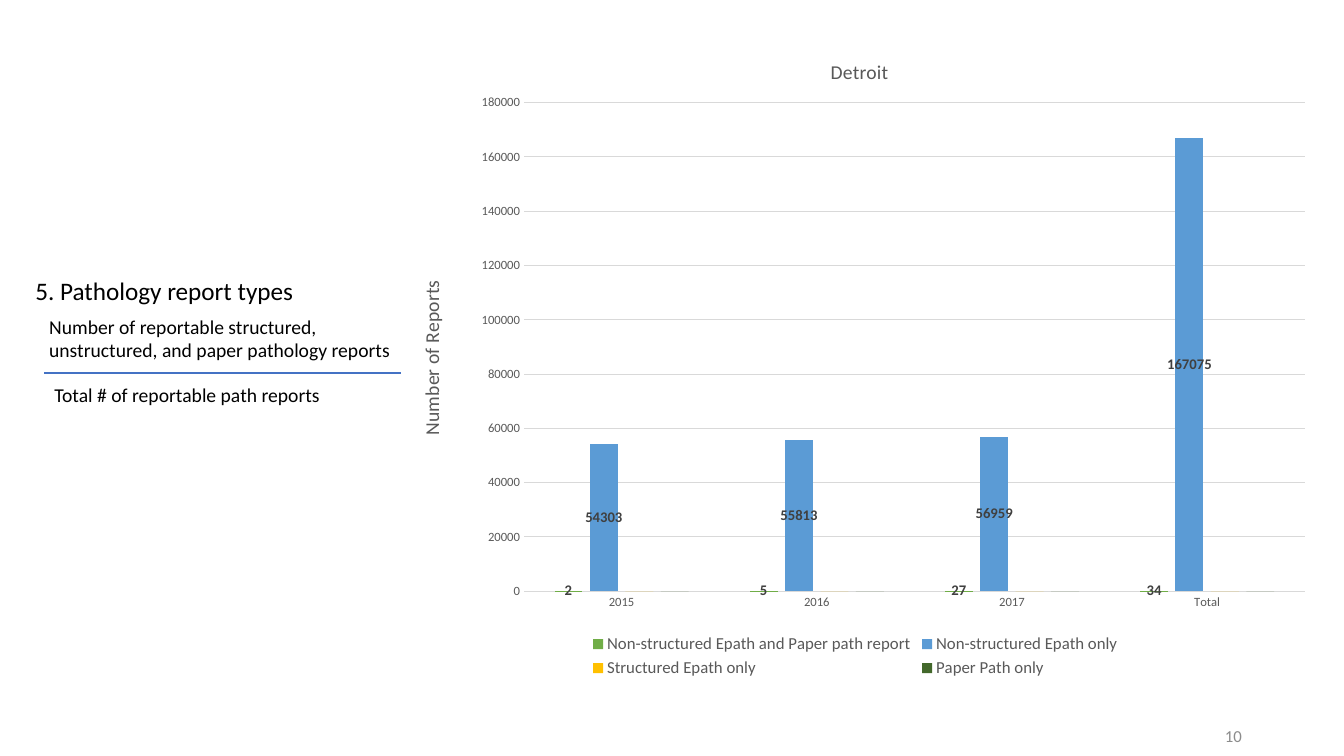
from lxml.etree import SubElement
from pptx import Presentation
from pptx.chart.data import CategoryChartData
from pptx.dml.color import RGBColor
from pptx.enum.chart import XL_CHART_TYPE, XL_LABEL_POSITION, XL_LEGEND_POSITION, XL_TICK_MARK
from pptx.enum.shapes import MSO_CONNECTOR
from pptx.enum.text import MSO_ANCHOR, PP_ALIGN
from pptx.oxml import parse_xml
from pptx.oxml.ns import nsdecls, qn
from pptx.util import Cm, Pt

BLACK = RGBColor(0x00, 0x00, 0x00)
GRAY = RGBColor(0x59, 0x59, 0x59)
DARK_GRAY = RGBColor(0x40, 0x40, 0x40)
MID_GRAY = RGBColor(0x8C, 0x8C, 0x8C)
LIGHT_GRAY = RGBColor(0xD9, 0xD9, 0xD9)
RULE_BLUE = RGBColor(0x44, 0x72, 0xC4)
GREEN = RGBColor(0x70, 0xAD, 0x47)
BLUE = RGBColor(0x5B, 0x9B, 0xD5)
YELLOW = RGBColor(0xFF, 0xC0, 0x00)
DARK_GREEN = RGBColor(0x43, 0x68, 0x2B)

YEARS = ["2015", "2016", "2017", "Total"]
REPORT_TYPES = [
    ("Non-structured Epath and Paper path report", (2, 5, 27, 34), GREEN),
    ("Non-structured Epath only", (54303, 55813, 56959, 167075), BLUE),
    ("Structured Epath only", (0, 0, 0, 0), YELLOW),
    ("Paper Path only", (0, 0, 0, 0), DARK_GREEN),
]
NUMBER_FORMAT = "#######0"


def place(element, index, **fractions):
    """Give a chart part a manual layout in fractions of the chart size."""
    for old in element.findall(qn("c:layout")):
        element.remove(old)
    layout = parse_xml(f"<c:layout {nsdecls('c')}><c:manualLayout/></c:layout>")
    manual = layout[0]
    if "w" in fractions:
        SubElement(manual, qn("c:layoutTarget")).set("val", "inner")
    for mode in ("xMode", "yMode"):
        SubElement(manual, qn(f"c:{mode}")).set("val", "edge")
    for name, value in fractions.items():
        SubElement(manual, qn(f"c:{name}")).set("val", str(value))
    element.insert(index, layout)


class SlideBuilder:
    font_name = "Calibri"

    def __init__(self, prs):
        self.s = prs.slides.add_slide(prs.slide_layouts[6])

    def style(self, font, size, color, bold=False):
        font.name = self.font_name
        font.size = Pt(size)
        font.bold = bold
        font.color.rgb = color

    def text(self, text, x, y, w, h, size, color=BLACK,
             align=PP_ALIGN.LEFT, anchor=MSO_ANCHOR.TOP):
        tf = self.s.shapes.add_textbox(Cm(x), Cm(y), Cm(w), Cm(h)).text_frame
        tf.word_wrap = True
        tf.vertical_anchor = anchor
        tf.text = text
        p = tf.paragraphs[0]
        p.alignment = align
        self.style(p.runs[0].font, size, color)

    def rule(self, x1, x2, y):
        line = self.s.shapes.add_connector(
            MSO_CONNECTOR.STRAIGHT, Cm(x1), Cm(y), Cm(x2), Cm(y))
        line.line.color.rgb = RULE_BLUE
        line.line.width = Pt(1.5)
        SubElement(line._element.spPr, qn("a:effectLst"))

    def title(self, owner, text, x, y):
        """Title a chart or an axis at a fixed place."""
        title = owner.chart_title if hasattr(owner, "chart_title") else owner.axis_title
        title.text_frame.text = text
        self.style(title.text_frame.paragraphs[0].runs[0].font, 14, GRAY)
        place(title._element, 1, x=x, y=y)

    def axis(self, axis):
        axis.major_tick_mark = axis.minor_tick_mark = XL_TICK_MARK.NONE
        self.style(axis.tick_labels.font, 9, GRAY)

    def column_chart(self, x, y, w, h):
        data = CategoryChartData(number_format=NUMBER_FORMAT)
        data.categories = YEARS
        for name, values, _ in REPORT_TYPES:
            data.add_series(name, values)
        chart = self.s.shapes.add_chart(
            XL_CHART_TYPE.COLUMN_CLUSTERED, Cm(x), Cm(y), Cm(w), Cm(h), data).chart
        self.style(chart.font, 10, BLACK)
        self.title(chart, "Detroit", 0.47, 0.04)

        years, counts = chart.category_axis, chart.value_axis
        self.axis(years)
        self.axis(counts)
        years.format.line.color.rgb = LIGHT_GRAY
        years.format.line.width = Pt(0.75)
        counts.format.line.fill.background()
        counts.minimum_scale, counts.maximum_scale, counts.major_unit = 0, 180000, 20000
        counts.major_gridlines.format.line.color.rgb = LIGHT_GRAY
        counts.major_gridlines.format.line.width = Pt(0.75)
        counts.tick_labels.number_format = NUMBER_FORMAT
        counts.tick_labels.number_format_is_linked = False
        self.title(counts, "Number of Reports", 0.03, 0.38)

        plot = chart.plots[0]
        plot.gap_width, plot.overlap, plot.vary_by_categories = 219, -27, False
        for series, (_, values, color) in zip(plot.series, REPORT_TYPES):
            series.format.fill.solid()
            series.format.fill.fore_color.rgb = color
            if any(values):
                labels = series.data_labels
                labels.show_value = True
                labels.position = XL_LABEL_POSITION.CENTER
                labels.number_format = NUMBER_FORMAT
                labels.number_format_is_linked = False
                self.style(labels.font, 10.5, DARK_GRAY, bold=True)
        plot_area = chart._chartSpace.chart.plotArea
        place(plot_area, 0, x=0.147, y=0.114, w=0.832, h=0.747)

        chart.has_legend = True
        chart.legend.position = XL_LEGEND_POSITION.BOTTOM
        chart.legend.include_in_layout = False
        self.style(chart.legend.font, 12, GRAY)


def main():
    prs = Presentation()
    prs.slide_width, prs.slide_height = Cm(33.87), Cm(19.05)
    slide = SlideBuilder(prs)
    slide.text("5. Pathology report types", 0.64, 6.81, 8.13, 1.8, 18)
    slide.text("Number of reportable structured, unstructured, and paper pathology reports",
               0.99, 7.8, 9.14, 1.45, 14)
    slide.text("Total # of reportable path reports", 1.12, 9.53, 7.65, 0.86, 14)
    slide.rule(1.12, 10.11, 9.4)
    slide.text("10", 23.93, 18.03, 7.62, 1.02, 12, MID_GRAY,
               PP_ALIGN.RIGHT, MSO_ANCHOR.MIDDLE)
    slide.column_chart(9.73, 0.71, 23.65, 16.48)
    prs.save("out.pptx")


if __name__ == "__main__":
    main()
